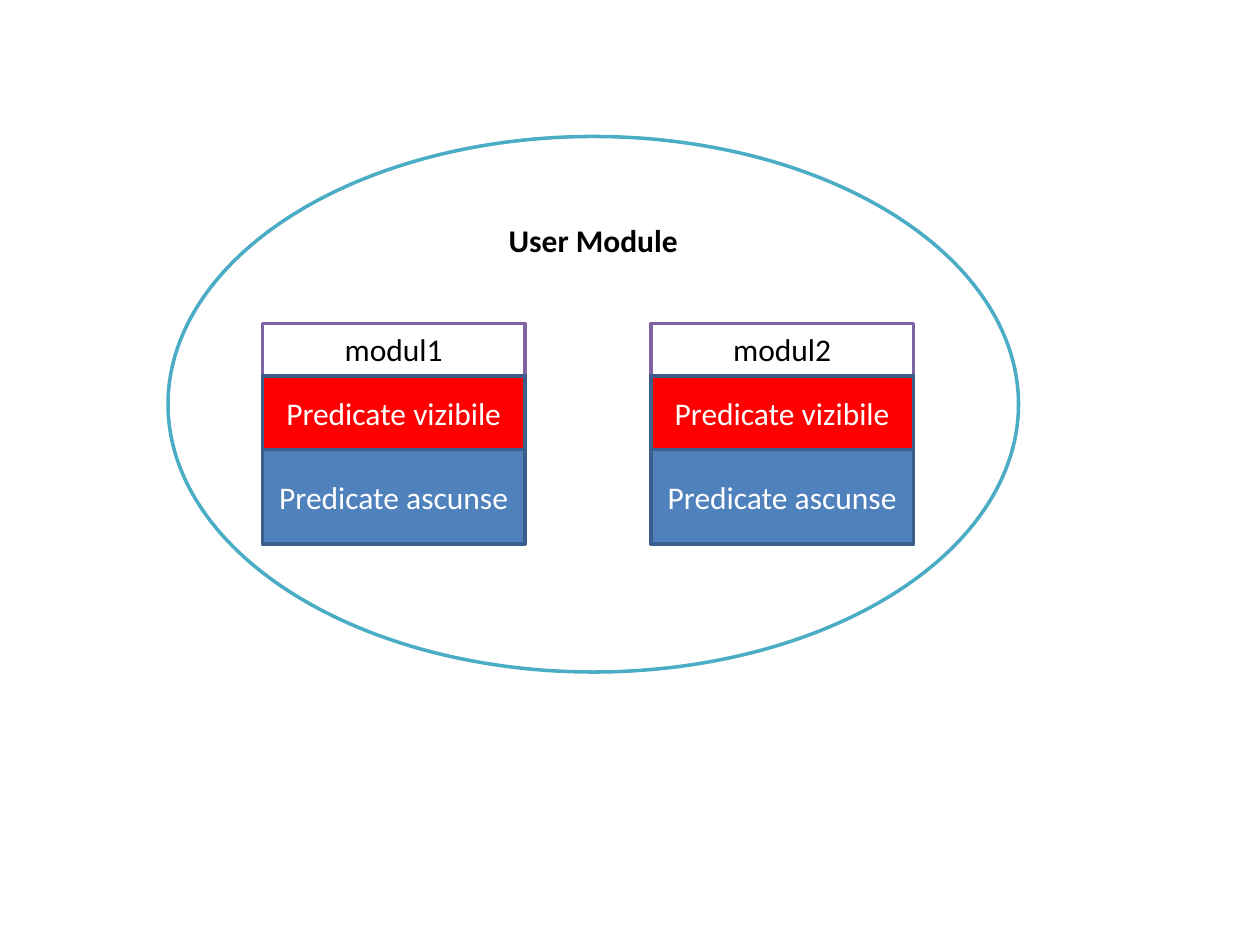
import dataclasses

import pptx
import pptx.dml.color
import pptx.enum.shapes
import pptx.enum.text
import pptx.util

SHAPE = pptx.enum.shapes.MSO_SHAPE
ANCHOR = pptx.enum.text.MSO_ANCHOR
COLUMNS, ROWS = 120, 90  # grid over the slide

prs = pptx.Presentation()
prs.slide_width = pptx.util.Inches(10)
prs.slide_height = pptx.util.Inches(7.5)
slide = prs.slides.add_slide(prs.slide_layouts[6])


@dataclasses.dataclass
class Box:
    """A place on the grid, in columns and rows."""
    left: float
    top: float
    width: float
    height: float


@dataclasses.dataclass
class Band:
    """A filled strip at the foot of a module."""
    text: str
    fill: str
    height: float


def rgb(value: str) -> pptx.dml.color.RGBColor:
    """Turn a hex string into a colour."""
    return pptx.dml.color.RGBColor.from_string(value)


def write(sp, text: str, *, color: str, bold: bool = False,
          anchor=ANCHOR.TOP) -> None:
    """Put one centred line of text into a shape."""
    tf = sp.text_frame
    tf.word_wrap = True
    tf.vertical_anchor = anchor
    p = tf.paragraphs[0]
    p.alignment = pptx.enum.text.PP_ALIGN.CENTER
    r = p.add_run()
    r.text = text
    r.font.name = "Calibri"
    r.font.size = pptx.util.Pt(18)
    r.font.bold = bold
    r.font.color.rgb = rgb(color)


def draw(kind, box: Box, fill: str, line: str):
    """Draw a filled and outlined shape on the grid."""
    dx, dy = prs.slide_width / COLUMNS, prs.slide_height / ROWS
    sp = slide.shapes.add_shape(kind, round(box.left * dx), round(box.top * dy),
                                round(box.width * dx), round(box.height * dy))
    sp.shadow.inherit = False
    sp.fill.solid()
    sp.fill.fore_color.rgb = rgb(fill)
    sp.line.color.rgb = rgb(line)
    sp.line.width = pptx.util.Pt(2)
    return sp


def draw_module(name: str, box: Box, bands: list[Band]) -> None:
    """Draw a named module and stack its bands from the bottom up."""
    sp = draw(SHAPE.RECTANGLE, box, "FFFFFF", "8064A2")
    write(sp, name, color="000000")
    top = box.top + box.height
    for band in bands:
        top -= band.height
        place = Box(box.left, top, box.width, band.height)
        sp = draw(SHAPE.RECTANGLE, place, band.fill, "3A5F8C")
        write(sp, band.text, color="FFFFFF", anchor=ANCHOR.MIDDLE)


BANDS = [Band("Predicate ascunse", "4F81BD", 9),
         Band("Predicate vizibile", "FF0000", 7)]

user_module = draw(SHAPE.OVAL, Box(16, 13, 81, 51), "FFFFFF", "4BACC6")
write(user_module, "User Module", color="000000", bold=True)
for name, left in (("modul1", 25), ("modul2", 62)):
    draw_module(name, Box(left, 30.8, 25, 21), BANDS)

prs.save("out.pptx")
